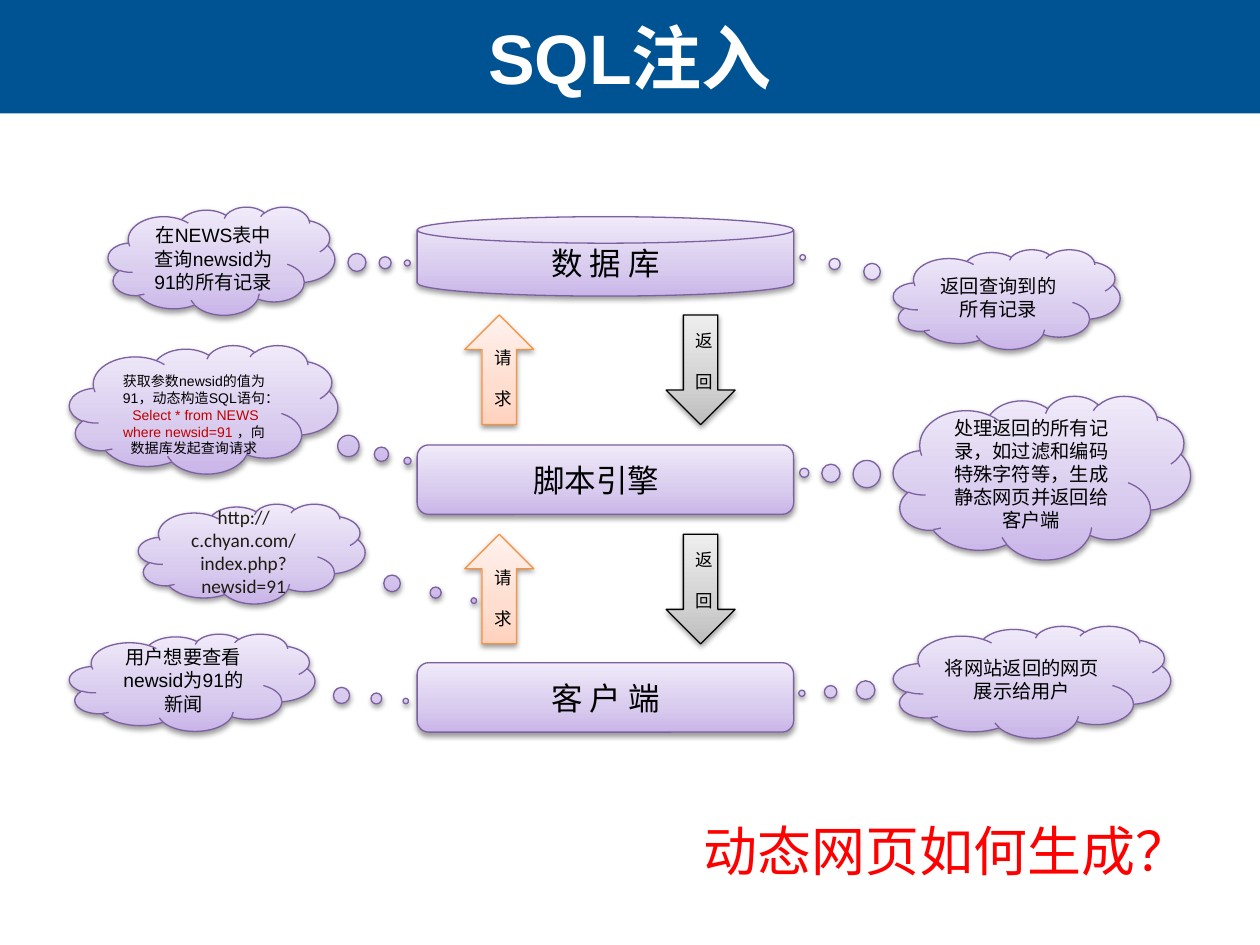
from copy import deepcopy
from dataclasses import dataclass

from lxml.etree import SubElement
from pptx import Presentation
from pptx.dml.color import RGBColor
from pptx.enum.shapes import MSO_SHAPE
from pptx.enum.text import MSO_ANCHOR, PP_ALIGN
from pptx.oxml.ns import qn
from pptx.util import Cm, Pt


@dataclass(frozen=True)
class Theme:
    # Colours; each gradient runs from bottom to top
    band: str = "005392"
    white: str = "FFFFFF"
    black: str = "000000"
    address: str = "1E1C11"
    query: str = "C00000"
    question: str = "FF0000"
    purple: tuple = ("C9B5E8", "D8CBEE", "F0EAF9")
    purple_line: str = "7D60A0"
    orange: tuple = ("FFD2BD", "FFDED0", "FFF2ED")
    orange_line: str = "F69240"
    grey: tuple = ("BDBDBD", "D1D1D1", "EEEEEE")
    # Type
    font: str = "Arial"
    light_font: str = "Calibri"
    title_size: float = 40
    question_size: float = 30.8
    tier_size: float = 18
    cloud_size: float = 11
    arrow_size: float = 10
    small_size: float = 8


def write_text(frame, *paragraphs, size, color, font, bold=False,
               align=PP_ALIGN.CENTER, gap=0):
    """Fill a frame; a paragraph is a string or a list of (text, colour) runs."""
    frame.word_wrap = True
    frame.vertical_anchor = MSO_ANCHOR.MIDDLE
    for index, content in enumerate(paragraphs):
        paragraph = frame.add_paragraph() if index else frame.paragraphs[0]
        paragraph.alignment = align
        if index:
            paragraph.space_before = Pt(gap)
        runs = [(content, color)] if isinstance(content, str) else content
        for text, run_color in runs:
            run = paragraph.add_run()
            run.text = text
            run.font.name = font
            run.font.size = Pt(size)
            run.font.bold = bold
            run.font.color.rgb = RGBColor.from_string(run_color)


class FlowSlide:
    def __init__(self, slide, theme):
        self.slide = slide
        self.theme = theme

    def title(self, text):
        theme = self.theme
        band = self.slide.shapes.add_shape(
            MSO_SHAPE.RECTANGLE, 0, 0, Cm(25.4), Cm(2.29))
        band.shadow.inherit = False
        band.fill.solid()
        band.fill.fore_color.rgb = RGBColor.from_string(theme.band)
        band.line.fill.background()
        self.slide.shapes.element.insert(2, band.element)  # behind the title

        title = self.slide.shapes.title
        title.left, title.top = Cm(0), Cm(0)
        title.width, title.height = Cm(25.4), Cm(2.29)
        write_text(title.text_frame, text, size=theme.title_size,
                   color=theme.white, font=theme.font, bold=True)

    def glossy_shape(self, kind, box, colors, line):
        """Add a shape with a three-stop gradient, thin outline and soft shadow."""
        shape = self.slide.shapes.add_shape(kind, *map(Cm, box))
        shape.fill.gradient()
        shape.fill.gradient_angle = 90
        first = shape.fill.gradient_stops[0]
        stop_list = shape.element.spPr.find(".//" + qn("a:gsLst"))
        stop_list.insert(1, deepcopy(stop_list[0]))
        for stop, color, position in zip(
                shape.fill.gradient_stops, colors, (0, 0.35, 1)):
            stop.color.rgb = RGBColor.from_string(color)
            stop.position = position
        shape.line.color.rgb = RGBColor.from_string(line)
        shape.line.width = Pt(0.75)

        shape.shadow.inherit = False
        effects = shape.element.spPr.find(qn("a:effectLst"))
        shadow = SubElement(effects, qn("a:outerShdw"), blurRad="40000",
                            dist="20000", dir="5400000", rotWithShape="0")
        color = SubElement(shadow, qn("a:srgbClr"), val=self.theme.black)
        SubElement(color, qn("a:alpha"), val="38000")
        return shape

    def tier(self, kind, top, height, text):
        theme = self.theme
        shape = self.glossy_shape(kind, (8.41, top, 7.59, height),
                                  theme.purple, theme.purple_line)
        write_text(shape.text_frame, text, size=theme.tier_size,
                   color=theme.black, font=theme.font)
        return shape

    def arrow(self, kind, left, top, characters, colors, line):
        theme = self.theme
        shape = self.glossy_shape(kind, (left, top, 1.39, 2.21), colors, line)
        write_text(shape.text_frame, *characters, size=theme.arrow_size,
                   color=theme.black, font=theme.font, gap=11.5)

    def cloud(self, box, tail, content, size=None, color=None, font=None):
        theme = self.theme
        shape = self.glossy_shape(MSO_SHAPE.CLOUD_CALLOUT, box,
                                  theme.purple, theme.purple_line)
        shape.adjustments[0], shape.adjustments[1] = tail
        write_text(shape.text_frame, content, size=size or theme.cloud_size,
                   color=color or theme.black, font=font or theme.font)
        return shape

    def question(self, text):
        theme = self.theme
        box = self.slide.shapes.add_textbox(
            Cm(5.38), Cm(16.48), Cm(18.85), Cm(1.32))
        write_text(box.text_frame, text, size=theme.question_size,
                   color=theme.question, font=theme.light_font,
                   align=PP_ALIGN.RIGHT)


def main():
    presentation = Presentation()
    presentation.slide_width, presentation.slide_height = Cm(25.4), Cm(19.05)
    theme = Theme()
    slide = presentation.slides.add_slide(presentation.slide_layouts[5])
    flow = FlowSlide(slide, theme)
    flow.title("SQL注入")

    # Three tiers in the middle
    flow.tier(MSO_SHAPE.FLOWCHART_MAGNETIC_DISK, 4.37, 1.6, "数 据 库")
    engine = flow.tier(MSO_SHAPE.ROUNDED_RECTANGLE, 8.97, 1.4, "脚本引擎")
    engine.text_frame.margin_right = Cm(0.61)
    flow.tier(MSO_SHAPE.ROUNDED_RECTANGLE, 13.36, 1.4, "客 户 端")

    # Request and response arrows between the tiers
    for top in (6.35, 10.77):
        flow.arrow(MSO_SHAPE.UP_ARROW, 9.37, top, "请求",
                   theme.orange, theme.orange_line)
        flow.arrow(MSO_SHAPE.DOWN_ARROW, 13.43, top, "返回",
                   theme.grey, theme.black)

    # Request side, from client up to database
    flow.cloud((1.4, 12.78, 4.95, 1.96), (0.87, 0.19),
               "用户想要查看newsid为91的新闻")
    flow.cloud((2.79, 10.16, 4.57, 2.01), (0.98, 0.47),
               "http://c.chyan.com/index.php?newsid=91",
               color=theme.address, font=theme.light_font)
    query = flow.cloud(
        (1.4, 6.96, 5.41, 2.59), (0.76, 0.4),
        [("获取参数newsid的值为91，动态构造SQL语句： ", theme.black),
         ("Select * from NEWS where newsid=91 ", theme.query),
         ("，向数据库发起查询请求", theme.black)],
        size=theme.small_size)
    query.text_frame.margin_top = Cm(0.46)
    flow.cloud((2.18, 4.17, 4.57, 2.18), (0.82, 0.02),
               "在NEWS表中查询newsid为91的所有记录")

    # Response side, from database down to client
    right = 18.01
    flow.cloud((right, 5.03, 4.57, 2.01), (-0.9, -0.42), "返回查询到的所有记录")
    flow.cloud((right, 7.98, 5.99, 3.3), (-0.8, -0.03),
               "处理返回的所有记录，如过滤和编码特殊字符等，生成静态网页并返回给客户端")
    flow.cloud((right, 12.62, 5.59, 2.26), (-0.83, 0.1),
               "将网站返回的网页展示给用户")

    flow.question("动态网页如何生成？")
    presentation.save("out.pptx")


if __name__ == "__main__":
    main()
